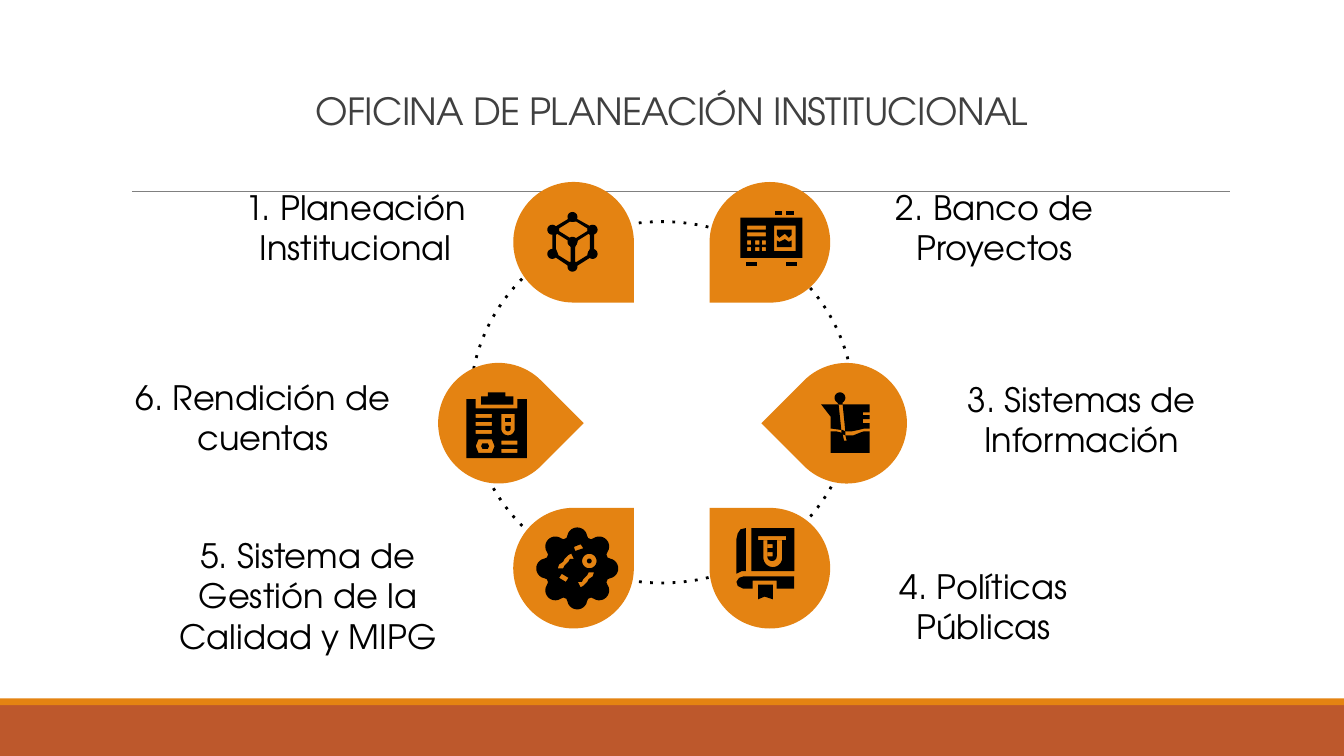
from math import asin, cos, pi, radians, sin, sqrt

from lxml.etree import SubElement
from pptx import Presentation
from pptx.dml.color import RGBColor
from pptx.enum.dml import MSO_LINE
from pptx.enum.shapes import MSO_CONNECTOR, MSO_SHAPE
from pptx.enum.text import MSO_ANCHOR, MSO_AUTO_SIZE, PP_ALIGN
from pptx.oxml.ns import qn
from pptx.util import Cm, Pt

FONT = "TeX Gyre Adventor"
ORANGE = RGBColor(0xE4, 0x83, 0x12)
RUST = RGBColor(0xBD, 0x58, 0x2C)
BLACK = RGBColor(0, 0, 0)
DARK_GRAY = RGBColor(0x40, 0x40, 0x40)
GRAY = RGBColor(0x80, 0x80, 0x80)
INSET = Cm(0.25)
LABEL_HEIGHT = 1.55
DROP_SIZE = 2.28
GRID = Cm(2.54) / 100  # icon points lie on a grid of hundredths of an inch


# Outline helpers, in grid units
def rect(left, top, right, bottom):
    return [(left, top), (right, top), (right, bottom), (left, bottom)]


def arc(x, y, radius, start=0, end=360):
    angles = [radians(start + (end - start) * step / 24) for step in range(25)]
    return [(x + radius * cos(angle), y + radius * sin(angle)) for angle in angles]


def tube(left, top, right, bottom):
    """Rectangle closed below by a half circle."""
    radius = (right - left) / 2
    return [(left, top), (right, top)] + arc(left + radius, bottom, radius, 0, 180)


def flower(x, y, distance, lobe, inner, count):
    """Ring of round lobes around a disc."""
    points = []
    for step in range(count * 16):
        offset = (step % 16 - 8) * 2 * pi / (count * 16)
        radius = inner
        if abs(offset) < asin(lobe / distance):
            reach = distance * cos(offset) + sqrt(lobe ** 2 - (distance * sin(offset)) ** 2)
            radius = max(inner, reach)
        angle = (step - 8) * 2 * pi / (count * 16)
        points.append((x + radius * cos(angle), y + radius * sin(angle)))
    return points


def mirror(points, axis):
    return [(2 * axis - x, y) for x, y in points]


# Icons: each is a list of pieces, each piece an outline followed by its holes
cube_side = [(438, 174), (439, 175), (439, 185), (437, 190), (429, 195), (428, 195),
             (428, 184), (430, 179)]
cube_nodes = [(426, 161.5), (441, 171), (441, 189), (426, 198.5), (411, 189), (411, 171),
              (426, 180)]
CUBE = [
    [[(426, 161), (442, 170), (442, 190), (426, 200), (411, 190), (411, 170)],
     cube_side, mirror(cube_side, 426.3),
     [(429, 165), (437, 170), (437, 172), (429, 177), (424, 177), (416, 172), (416, 170),
      (424, 165)]],
    [arc(x, y, 3.7) for x, y in cube_nodes],
]
CONSOLE = [
    [rect(551, 162, 597, 192), rect(576, 168, 592, 187)]
    + [rect(556, top, 570, top + 3) for top in (168, 173)]
    + [rect(left, top, left + 3, top + 3) for top in (179, 184) for left in (556, 562, 567)],
    [[(578, 179), (580, 180), (584, 178), (587, 180), (589, 179), (589, 184), (578, 184)]],
    [[(578, 171), (589, 171), (589, 175), (587, 177), (584, 174), (580, 177), (578, 175)]],
    [rect(555, 195, 563, 198)], [rect(585, 195, 593, 198)],
    [rect(577, 157, 582, 160)], [rect(585, 157, 591, 160)],
]
MAP_PIN = [
    [arc(625, 296, 4, 60, -240) + [(624, 301), (627, 301)]],
    [[(626, 320), (627, 320), (629, 321), (629, 324), (626, 323)]],
    [[(611, 301), (624, 301), (626, 320), (619, 319), (618, 319), (618, 310)]],
    [[(627, 301), (647, 301), (647, 307), (642, 307), (642, 309), (647, 309), (647, 312),
      (642, 312), (642, 315), (647, 315), (647, 319), (643, 319), (639, 320), (634, 321),
      (629, 321)]],
    [[(618, 321), (622, 321), (626, 322), (627, 323), (628, 328), (630, 328), (629, 324),
      (635, 324), (640, 322), (643, 321), (647, 321), (647, 337), (618, 337)]],
]
BOOK = [
    [tube(571, 402, 578, 414), rect(571, 405, 575, 408), rect(571, 411, 575, 414)],
    [rect(559, 393, 591, 425), rect(564, 399, 585, 402), tube(568, 402, 582, 415)],
    [[(555, 393), (555, 425), (552, 425), (548, 427), (548, 401), (549, 397), (551, 394)]],
    [[(553, 429), (591, 429), (591, 438), (578, 438), (578, 432), (560, 432), (560, 438),
      (553, 438), (549, 436), (548, 433), (550, 430)]],
    [[(564, 435), (575, 435), (575, 446), (569, 444), (564, 446)]],
]
GEAR = [
    [flower(429.5, 423, 23, 7.5, 24, 8), arc(438.5, 417.5, 5.4),
     [(421, 433), (416, 430), (418, 427), (423, 430)],
     [(428, 410), (427, 407), (432, 405), (434, 408)],
     [(424, 416), (423, 418), (420, 421), (419, 423), (415, 423), (416, 420), (419, 418),
      (420, 416), (423, 413), (425, 412), (427, 416)],
     [(442, 426), (441, 429), (438, 431), (437, 433), (434, 436), (432, 437), (430, 433),
      (433, 433), (434, 431), (437, 428), (438, 426)]],
    [arc(438.5, 417.5, 1.8)],
]
CLIPBOARD = [
    [tube(376, 317, 380, 319)], [rect(376, 311, 380, 314)],
    [[(359, 330), (363, 330), (364, 332), (363, 334), (359, 334), (358, 332)]],
    [[(347, 297), (354, 297), (354, 304), (385, 304), (385, 297), (392, 297), (392, 341),
      (347, 341)],
     tube(373, 308, 383, 319),
     [(356, 327), (366, 327), (368, 332), (366, 337), (356, 337), (354, 332)]]
    + [[*rect(354, top, 366, top + 3)] for top in (308, 314, 320)]
    + [rect(373, top, 385, top + 3) for top in (328, 334)],
    [[(363, 292), (376, 292), (376, 295), (382, 295), (382, 301), (358, 301), (358, 295),
      (363, 295)]],
]

# Topics: text, label (left, top, width), drop (left, top), rotation of its tip, icon
TITLE = "OFICINA DE PLANEACIÓN INSTITUCIONAL"
TOPICS = [
    ("1. Planeación Institucional", (3.81, 3.76, 5.82), (9.7, 3.44), 90, CUBE),
    ("2. Banco de Proyectos", (15.88, 3.76, 5.84), (13.41, 3.44), 180, CONSOLE),
    ("3. Sistemas de Información", (17.12, 7.39, 6.65), (14.86, 6.86), 225, MAP_PIN),
    ("4. Políticas Públicas", (15.67, 10.92, 5.84), (13.41, 9.6), 270, BOOK),
    ("5. Sistema de Gestión de la Calidad y MIPG", (2.9, 11.1, 5.84), (9.7, 9.6), 0, GEAR),
    ("6. Rendición de cuentas", (2.06, 7.34, 5.82), (8.28, 6.86), 45, CLIPBOARD),
]


def paint(shape, color):
    shape.shadow.inherit = False
    shape.fill.solid()
    shape.fill.fore_color.rgb = color
    shape.line.fill.background()


def add_filled(kind, left, top, width, height, color):
    shape = slide.shapes.add_shape(kind, Cm(left), Cm(top), Cm(width), Cm(height))
    paint(shape, color)
    return shape


def add_icon(pieces):
    group = slide.shapes.add_group_shape()
    for outlines in pieces:
        builder = None
        for outline in outlines:
            points = [(x * GRID, y * GRID) for x, y in outline]
            if builder is None:
                builder = group.shapes.build_freeform(*points[0])
            else:
                builder.move_to(*points[0])
            builder.add_line_segments(points[1:], close=True)
        paint(builder.convert_to_shape(), BLACK)


def write(shape, text, size, color, anchor):
    frame = shape.text_frame
    frame.text = text
    frame.word_wrap = True
    frame.auto_size = MSO_AUTO_SIZE.NONE
    frame.vertical_anchor = anchor
    frame.margin_left = frame.margin_right = frame.margin_top = frame.margin_bottom = INSET
    paragraph = frame.paragraphs[0]
    paragraph.alignment = PP_ALIGN.CENTER
    font = paragraph.runs[0].font
    font.name, font.size, font.color.rgb = FONT, Pt(size), color
    return paragraph


presentation = Presentation()
presentation.slide_width, presentation.slide_height = Cm(25.4), Cm(14.29)
slide = presentation.slides.add_slide(presentation.slide_layouts[5])

# Bottom bands and rule under the title
add_filled(MSO_SHAPE.RECTANGLE, 0, 13.33, 25.4, 0.96, RUST)
add_filled(MSO_SHAPE.RECTANGLE, 0, 13.2, 25.4, 0.13, ORANGE)
rule = slide.shapes.add_connector(MSO_CONNECTOR.STRAIGHT, Cm(2.49), Cm(3.62), Cm(23.24), Cm(3.62))
rule.line.color.rgb = GRAY
rule.line.width = Pt(0.5)
SubElement(rule._element.spPr, qn("a:effectLst"))

# Title
title = slide.shapes.title
title.left, title.top, title.width, title.height = Cm(0.81), Cm(1.55), Cm(23.77), Cm(1.6)
heading = write(title, TITLE, 20, DARK_GRAY, MSO_ANCHOR.TOP)
heading.line_spacing = 0.85
heading.runs[0].font._element.set("spc", "-40")

# Dotted ring
ring = slide.shapes.add_shape(MSO_SHAPE.OVAL, Cm(8.89), Cm(4.19), Cm(7.24), Cm(6.83))
ring.shadow.inherit = False
ring.fill.background()
ring.line.color.rgb = BLACK
ring.line.width = Pt(1.5)
ring.line.dash_style = MSO_LINE.SQUARE_DOT
ring.line._ln.find(qn("a:prstDash")).set("val", "dot")

# Topics around the ring
for text, (left, top, width), drop_place, rotation, icon in TOPICS:
    label = slide.shapes.add_textbox(Cm(left), Cm(top), Cm(width), Cm(LABEL_HEIGHT))
    write(label, text, 18, BLACK, MSO_ANCHOR.BOTTOM)
    drop = add_filled(MSO_SHAPE.TEAR, *drop_place, DROP_SIZE, DROP_SIZE, ORANGE)
    drop.rotation = rotation
    add_icon(icon)

presentation.save("out.pptx")
